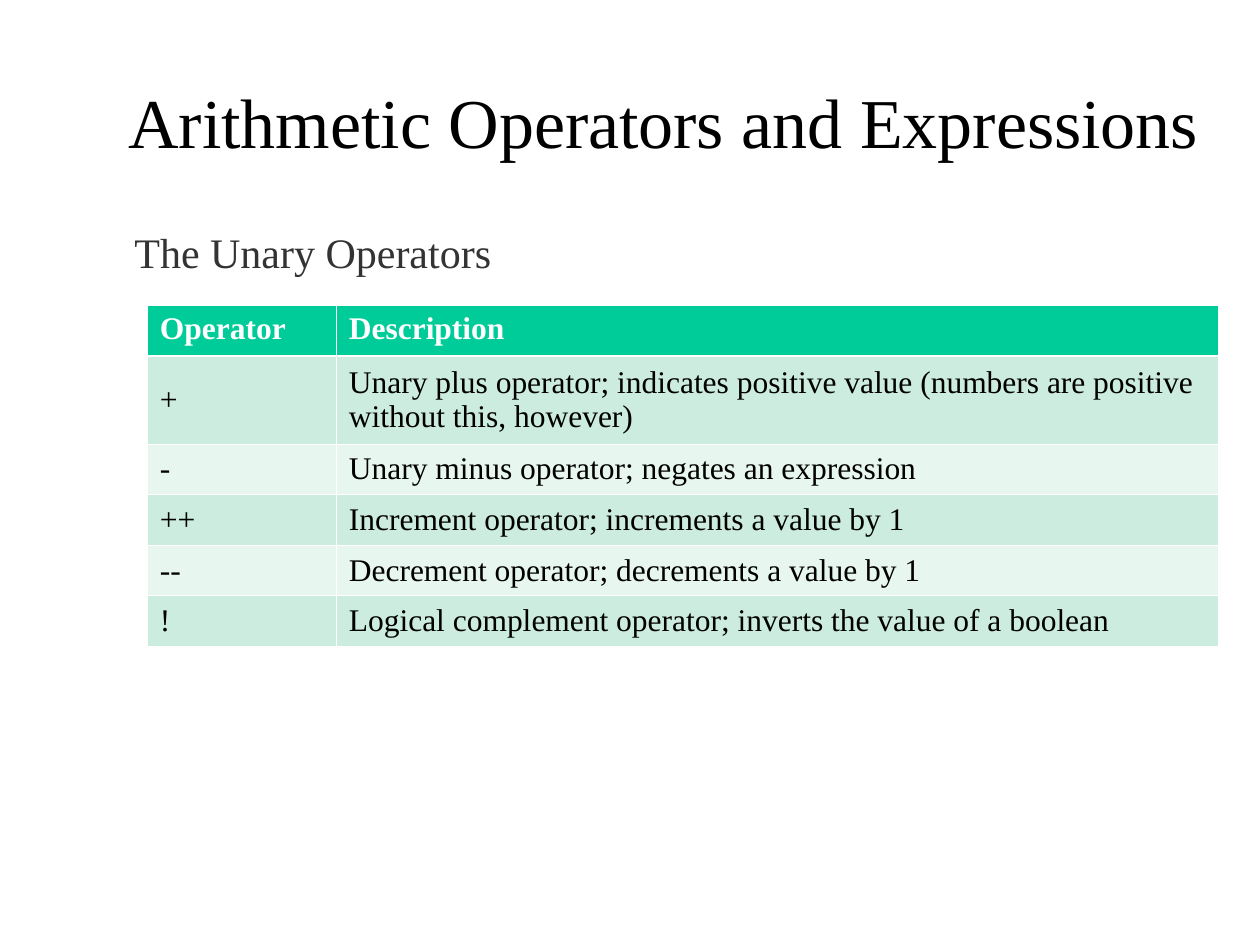
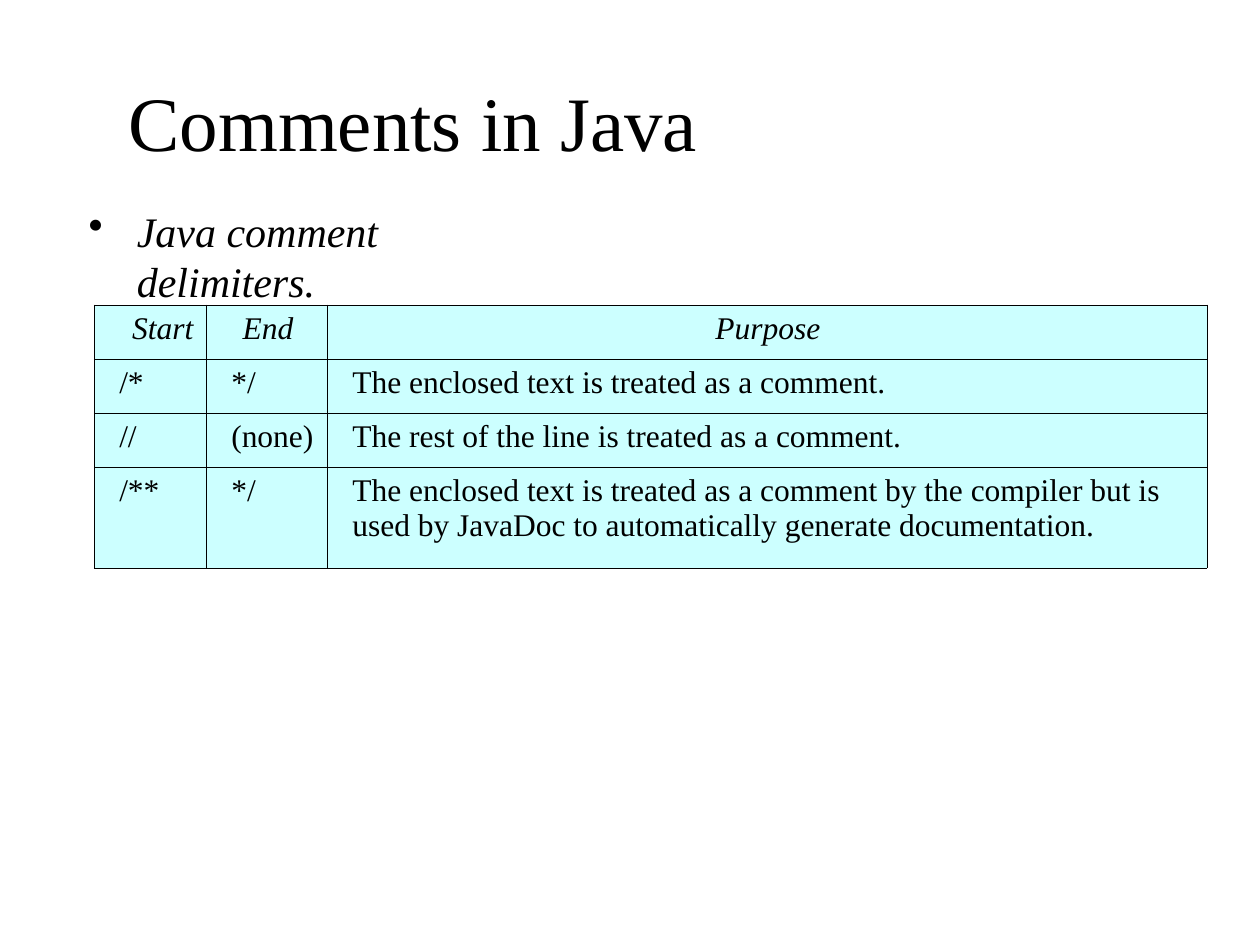
from lxml.etree import SubElement
from pptx import Presentation
from pptx.dml.color import RGBColor
from pptx.enum.text import MSO_ANCHOR, MSO_AUTO_SIZE, PP_ALIGN
from pptx.oxml.ns import qn
from pptx.util import Cm, Pt

FONT = "Times New Roman"
BLACK, WHITE, GREY = "000000", "FFFFFF", "333333"
GREEN, MINT, PALE, CYAN = "00CC99", "CBECDE", "E7F6EF", "CCFFFF"
THIN, THICK = 0.45, 1.47
TABLE_TOP = 6.15

UNARY = [
    ("Operator", "Description"),
    ("+", "Unary plus operator; indicates positive value "
          "(numbers are positive without this, however)"),
    ("-", "Unary minus operator; negates an expression"),
    ("++", "Increment operator; increments a value by 1"),
    ("--", "Decrement operator; decrements a value by 1"),
    ("!", "Logical complement operator; inverts the value of a boolean"),
]
DELIMS = [
    ("Start", "End", "Purpose"),
    ("/*", "*/", "The enclosed text is treated as a comment."),
    ("//", "(none)", "The rest of the line is treated as a comment."),
    ("/**", "*/", "The enclosed text is treated as a comment by the compiler "
                  "but is used by JavaDoc to automatically generate documentation."),
]


def color(code):
    return RGBColor.from_string(code)


def write(frame, text, size=18, ink=BLACK, bold=False, italic=False,
          align=PP_ALIGN.LEFT, margin=0, hang=0, bullet=None):
    """Fill the frame with one paragraph; margin and hang are in cm."""
    para = frame.paragraphs[0]
    para.text = text
    para.alignment = align
    props = para._p.get_or_add_pPr()
    props.set("marL", str(Cm(margin)))
    props.set("indent", str(Cm(-hang)))
    if bullet:
        SubElement(props, qn("a:buChar")).set("char", bullet)
    font = para.runs[0].font
    font.name, font.size = FONT, Pt(size)
    font.bold, font.italic = bold, italic
    font.color.rgb = color(ink)


def edge(cell, side, code, width):
    """Draw one cell border; call for side L, R, T and B in that order."""
    line = SubElement(cell._tc.get_or_add_tcPr(), qn("a:ln" + side))
    line.set("w", str(Pt(width)))
    fill = SubElement(line, qn("a:solidFill"))
    SubElement(fill, qn("a:srgbClr")).set("val", code)


class Deck:
    def __init__(self):
        self.prs = Presentation()
        self.prs.slide_width, self.prs.slide_height = Cm(25.4), Cm(19.05)
        self.slide = None

    def page(self, title, size):
        self.slide = self.prs.slides.add_slide(self.prs.slide_layouts[6])
        box = self.slide.shapes.add_textbox(Cm(2.34), Cm(0.84), Cm(22.66), Cm(3.18))
        frame = box.text_frame
        frame.word_wrap = True
        frame.vertical_anchor = MSO_ANCHOR.MIDDLE
        write(frame, title, size=size)

    def lead(self, text, left, top, width, **style):
        box = self.slide.shapes.add_textbox(Cm(left), Cm(top), Cm(width), Cm(1.27))
        frame = box.text_frame
        frame.word_wrap = False
        frame.auto_size = MSO_AUTO_SIZE.SHAPE_TO_FIT_TEXT
        write(frame, text, size=24, **style)

    def grid(self, data, left, cols, rows, look, fills, line, rule=THIN,
             anchor=MSO_ANCHOR.TOP):
        """Add a table; look(row, col) gives text format, rule the line under the header."""
        table = self.slide.shapes.add_table(
            len(rows), len(cols), Cm(left), Cm(TABLE_TOP),
            Cm(sum(cols)), Cm(sum(rows))).table
        table.first_row = table.horz_banding = False
        for col, width in zip(table.columns, cols):
            col.width = Cm(width)
        for row, height in zip(table.rows, rows):
            row.height = Cm(height)
        for r, texts in enumerate(data):
            for c, text in enumerate(texts):
                cell = table.cell(r, c)
                write(cell.text_frame, text, **look(r, c))
                cell.vertical_anchor = anchor if r else MSO_ANCHOR.TOP
                widths = {"L": THIN, "R": THIN,
                          "T": rule if r == 1 else THIN,
                          "B": rule if r == 0 else THIN}
                for side, width in widths.items():
                    edge(cell, side, line, width)
                cell.fill.solid()
                cell.fill.fore_color.rgb = color(fills[r])


def unary_look(row, col):
    return {} if row else {"ink": WHITE, "bold": True}


def delim_look(row, col):
    if row:
        return {"margin": 0.25}
    align = PP_ALIGN.CENTER if col == 2 else PP_ALIGN.LEFT
    return {"italic": True, "margin": (0.51, 0.48, 0.03)[col], "align": align}


def main():
    deck = Deck()

    deck.page("Arithmetic Operators and Expressions", 40)
    deck.grid(UNARY, 2.97, [3.81, 17.78], [1.02, 1.78] + [1.02] * 4, unary_look,
              [GREEN, MINT, PALE, MINT, PALE, MINT], WHITE, THICK, MSO_ANCHOR.MIDDLE)
    deck.lead("The Unary Operators", 2.46, 4.44, 7.7, ink=GREY)

    deck.page("Comments in Java", 44)
    deck.grid(DELIMS, 1.9, [2.26, 2.44, 17.73], [1.09] * 3 + [2.03], delim_look,
              [CYAN] * 4, BLACK)
    deck.lead("Java comment delimiters.", 1.52, 4.01, 10.16,
              italic=True, margin=0.99, hang=0.97, bullet="•")

    deck.prs.save("out.pptx")


if __name__ == "__main__":
    main()
